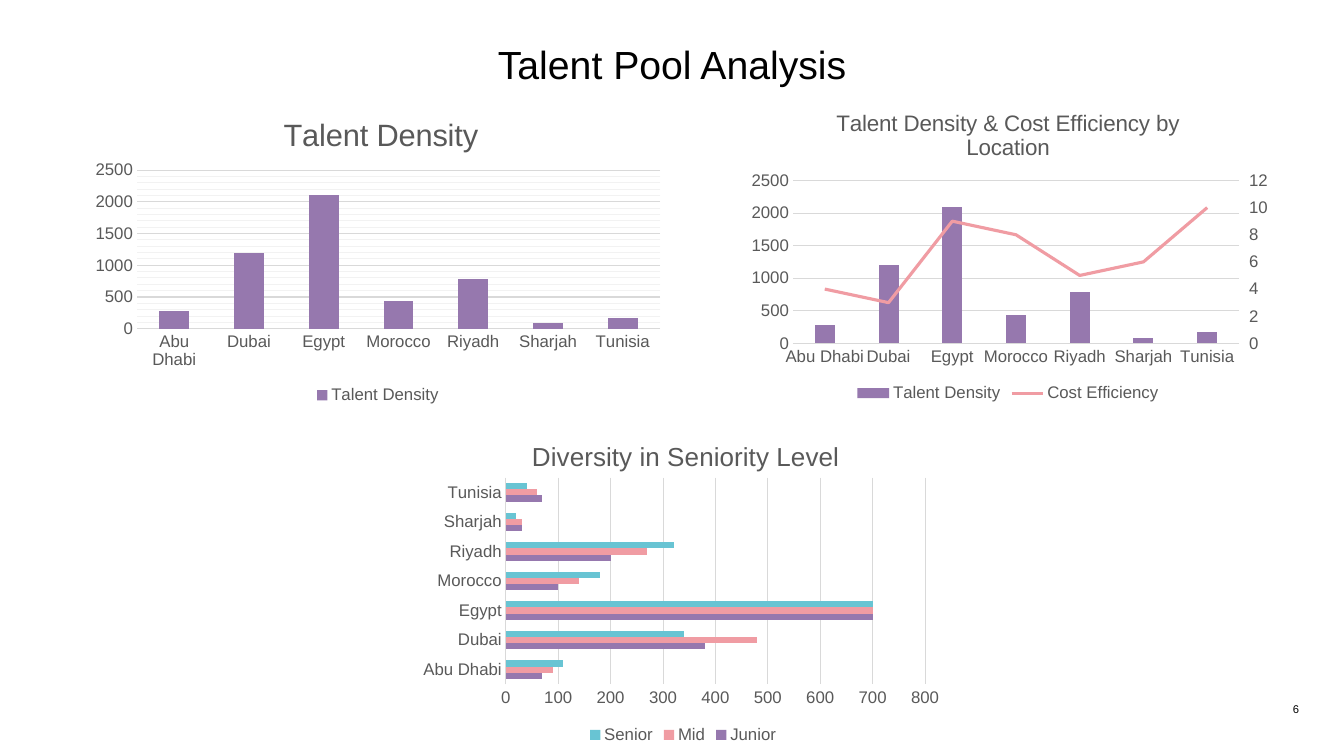
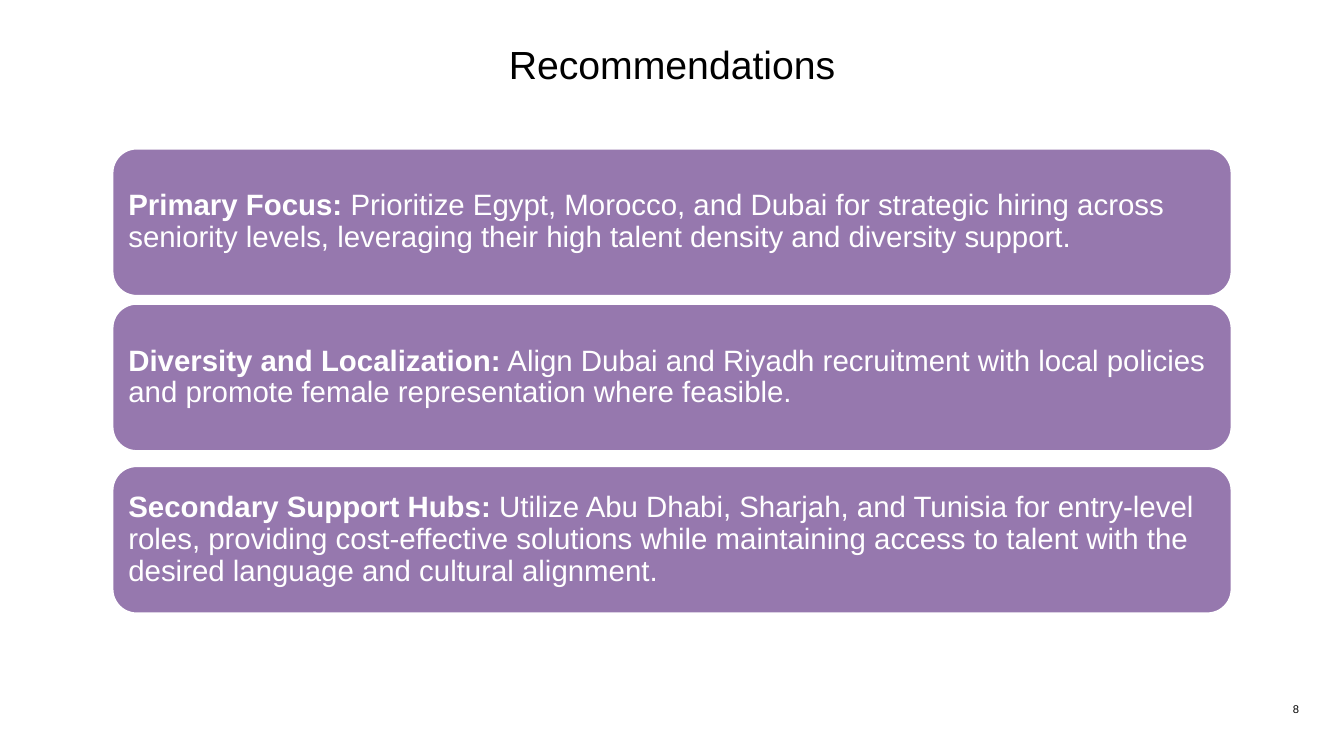
import collections

import pptx
import pptx.chart.axis
import pptx.chart.data
import pptx.dml.color
import pptx.enum.chart
import pptx.enum.shapes
import pptx.enum.text
import pptx.oxml
import pptx.oxml.ns
import pptx.util

BLACK = pptx.dml.color.RGBColor(0x00, 0x00, 0x00)
WHITE = pptx.dml.color.RGBColor(0xFF, 0xFF, 0xFF)
GRAY = pptx.dml.color.RGBColor(0x59, 0x59, 0x59)
GRID = pptx.dml.color.RGBColor(0xD9, 0xD9, 0xD9)
FAINT_GRID = pptx.dml.color.RGBColor(0xF2, 0xF2, 0xF2)
PURPLE = pptx.dml.color.RGBColor(0x96, 0x78, 0xAE)
PINK = pptx.dml.color.RGBColor(0xF0, 0x9C, 0xA3)
TEAL = pptx.dml.color.RGBColor(0x68, 0xC4, 0xD3)

FONT = "Arial"
WIDTH = pptx.util.Inches(13.33)
HEIGHT = pptx.util.Inches(7.5)
COLUMN = WIDTH / 120
ROW = HEIGHT / 75

Box = collections.namedtuple("Box", "left top width height")
Series = collections.namedtuple("Series", "name values color")

TITLE_BOX = Box(4, 4, 112, 4.7)
NUMBER_BOX = Box(109, 69.4, 7, 1.6)
CARDS_BOX = Box(10, 14.7, 100, 46.2)
CARD_HEIGHT = 14.7

LOCATIONS = ("Abu Dhabi", "Dubai", "Egypt", "Morocco", "Riyadh", "Sharjah", "Tunisia")
DENSITY = Series("Talent Density", (280, 1200, 2100, 430, 790, 90, 170), PURPLE)
COST = Series("Cost Efficiency", (4, 3, 9, 8, 5, 6, 10), PINK)
SENIORITY = (
    Series("Junior", (70, 380, 700, 100, 200, 30, 70), PURPLE),
    Series("Mid", (90, 480, 700, 140, 270, 30, 60), PINK),
    Series("Senior", (110, 340, 700, 180, 320, 20, 40), TEAL),
)

RECOMMENDATIONS = (
    (0, "Primary Focus:",
     " Prioritize Egypt, Morocco, and Dubai for strategic hiring across seniority levels, "
     "leveraging their high talent density and diversity support."),
    (15.4, "Diversity and Localization:",
     " Align Dubai and Riyadh recruitment with local policies and promote female "
     "representation where feasible."),
    (31.5, "Secondary Support Hubs:",
     " Utilize Abu Dhabi, Sharjah, and Tunisia for entry-level roles, providing "
     "cost-effective solutions while maintaining access to talent with the desired "
     "language and cultural alignment."),
)

LINE_PLOT = """
<c:lineChart %s>
  <c:grouping val="standard"/><c:varyColors val="0"/>
  <c:marker val="1"/><c:axId val="501"/><c:axId val="502"/>
</c:lineChart>"""
HIDDEN_CATEGORY_AXIS = """
<c:catAx %s>
  <c:axId val="501"/><c:scaling><c:orientation val="minMax"/></c:scaling>
  <c:delete val="1"/><c:axPos val="b"/><c:crossAx val="502"/><c:crosses val="autoZero"/>
</c:catAx>"""
RIGHT_AXIS = """
<c:valAx %s>
  <c:axId val="502"/><c:scaling><c:orientation val="minMax"/></c:scaling>
  <c:delete val="0"/><c:axPos val="r"/><c:numFmt formatCode="General" sourceLinked="0"/>
  <c:majorTickMark val="out"/><c:minorTickMark val="none"/><c:tickLblPos val="nextTo"/>
  <c:crossAx val="501"/><c:crosses val="max"/>
</c:valAx>"""
FAINT_LINE = f"""
<c:spPr %s><a:ln w="9525"><a:solidFill>
  <a:srgbClr val="{FAINT_GRID}"/>
</a:solidFill></a:ln></c:spPr>"""


def place(box):
    return (round(box.left * COLUMN), round(box.top * ROW),
            round(box.width * COLUMN), round(box.height * ROW))


def chart_element(markup):
    return pptx.oxml.parse_xml(markup % pptx.oxml.ns.nsdecls("c", "a"))


def style_font(font, size, color, bold=False):
    font.name = FONT
    font.size = pptx.util.Pt(size)
    font.color.rgb = color
    font.bold = bold


def write(para, text, size=12, color=BLACK, bold=False, align=None):
    span = para.add_run()
    span.text = text
    style_font(span.font, size, color, bold)
    if align is not None:
        para.alignment = align


def set_frame(frame, anchor, margin=0):
    frame.word_wrap = True
    frame.auto_size = pptx.enum.text.MSO_AUTO_SIZE.NONE
    frame.vertical_anchor = anchor
    frame.margin_left = frame.margin_right = pptx.util.Inches(margin)
    frame.margin_top = frame.margin_bottom = pptx.util.Inches(margin)


def prepare_layout(deck):
    layout = deck.slide_layouts.get_by_name("Title Only")
    title = next(shape for shape in layout.placeholders
                 if shape.placeholder_format.idx == 0)
    title.left, title.top, title.width, title.height = place(TITLE_BOX)
    set_frame(title.text_frame, pptx.enum.text.MSO_ANCHOR.BOTTOM)
    return layout


def add_page(deck, layout, title, number):
    page = deck.slides.add_slide(layout)
    write(page.shapes.title.text_frame.paragraphs[0], title, size=28,
          align=pptx.enum.text.PP_ALIGN.CENTER)
    frame = page.shapes.add_textbox(*place(NUMBER_BOX)).text_frame
    set_frame(frame, pptx.enum.text.MSO_ANCHOR.BOTTOM)
    write(frame.paragraphs[0], number, size=8, align=pptx.enum.text.PP_ALIGN.RIGHT)
    return page


def set_layout(parent, shares, inner=False):
    tags = ['<c:layoutTarget val="inner"/>'] if inner else []
    tags += ['<c:xMode val="edge"/>', '<c:yMode val="edge"/>']
    tags += [f'<c:{name} val="{share}"/>' for name, share in zip("xywh", shares)]
    layout = chart_element(
        "<c:layout %s><c:manualLayout>" + "".join(tags) + "</c:manualLayout></c:layout>")
    for old in parent.xpath("./c:layout"):
        parent.replace(old, layout)
        return
    parent.insert(0, layout)


def style_line(line, color, width=0.75):
    line.color.rgb = color
    line.width = pptx.util.Pt(width)


def style_axis(axis, line_color=None, tick=pptx.enum.chart.XL_TICK_MARK.NONE):
    axis.major_tick_mark = tick
    axis.minor_tick_mark = pptx.enum.chart.XL_TICK_MARK.NONE
    style_font(axis.tick_labels.font, 12, GRAY)
    if line_color is None:
        axis.format.line.fill.background()
    else:
        style_line(axis.format.line, line_color)


def add_bars(page, box, kind, title, series, gap, plot_shares, title_size,
             title_shares=None, overlap=0, axis_color=GRID):
    data = pptx.chart.data.CategoryChartData()
    data.categories = LOCATIONS
    for item in series:
        data.add_series(item.name, item.values)
    chart = page.shapes.add_chart(kind, *place(box), data).chart
    style_font(chart.font, 10, BLACK)

    chart.has_title = True
    write(chart.chart_title.text_frame.paragraphs[0], title, size=title_size, color=GRAY)
    if title_shares:
        set_layout(chart.chart_title._element, title_shares)
    set_layout(chart._chartSpace.xpath("c:chart/c:plotArea")[0], plot_shares, inner=True)

    chart.has_legend = True
    chart.legend.position = pptx.enum.chart.XL_LEGEND_POSITION.BOTTOM
    chart.legend.include_in_layout = False
    style_font(chart.legend.font, 12, GRAY)

    style_axis(chart.category_axis, axis_color)
    for body in chart._chartSpace.xpath("//c:catAx/c:txPr/a:bodyPr"):
        body.set("rot", "-60000000")
    style_axis(chart.value_axis)
    chart.value_axis.has_major_gridlines = True
    style_line(chart.value_axis.major_gridlines.format.line, GRID)

    plot = chart.plots[0]
    plot.vary_by_categories = False
    plot.gap_width = gap
    plot.overlap = overlap
    for bars, item in zip(plot.series, series):
        bars.invert_if_negative = False
        bars.format.fill.solid()
        bars.format.fill.fore_color.rgb = item.color
    return chart


def move_to_right_axis(chart, item):
    bar_plot = chart._chartSpace.xpath("//c:barChart")[0]
    moved = bar_plot.xpath("./c:ser")[-1]
    for flag in moved.xpath("./c:invertIfNegative | ./c:spPr"):
        moved.remove(flag)
    line_plot = chart_element(LINE_PLOT)
    line_plot.insert(2, moved)
    bar_plot.addnext(line_plot)

    right_axis = chart_element(RIGHT_AXIS)
    chart._chartSpace.xpath("//c:valAx")[0].addnext(right_axis)
    right_axis.addnext(chart_element(HIDDEN_CATEGORY_AXIS))
    style_axis(pptx.chart.axis.ValueAxis(right_axis),
               tick=pptx.enum.chart.XL_TICK_MARK.OUTSIDE)

    line = chart.plots[1].series[0]
    line.smooth = False
    line.marker.style = pptx.enum.chart.XL_MARKER_STYLE.NONE
    style_line(line.format.line, item.color, 2.25)


def add_density_chart(page, box):
    chart = add_bars(page, box, pptx.enum.chart.XL_CHART_TYPE.COLUMN_STACKED,
                     "Talent Density", (DENSITY,), gap=150, overlap=100,
                     plot_shares=(0.09, 0.25, 0.89, 0.5), title_size=22,
                     title_shares=(0.33, 0.06), axis_color=None)
    chart.value_axis.has_minor_gridlines = True
    chart.value_axis.major_unit = 500
    chart.value_axis.minor_unit = 100
    chart._chartSpace.xpath("//c:minorGridlines")[0].append(chart_element(FAINT_LINE))


def add_efficiency_chart(page, box):
    chart = add_bars(page, box, pptx.enum.chart.XL_CHART_TYPE.COLUMN_CLUSTERED,
                     "Talent Density & Cost Efficiency by Location", (DENSITY, COST),
                     gap=219, plot_shares=(0.1, 0.28, 0.83, 0.52), title_size=16)
    move_to_right_axis(chart, COST)


def add_seniority_chart(page, box):
    add_bars(page, box, pptx.enum.chart.XL_CHART_TYPE.BAR_CLUSTERED,
             "Diversity in Seniority Level", SENIORITY, gap=182,
             plot_shares=(0.17, 0.19, 0.78, 0.62), title_size=18.6,
             title_shares=(0.21, 0.06))


def add_recommendations(page, box):
    for offset, lead, detail in RECOMMENDATIONS:
        card = page.shapes.add_shape(
            pptx.enum.shapes.MSO_SHAPE.ROUNDED_RECTANGLE,
            *place(Box(box.left, box.top + offset, box.width, CARD_HEIGHT)))
        card.shadow.inherit = False
        card.fill.solid()
        card.fill.fore_color.rgb = PURPLE
        style_line(card.line, WHITE, 2)
        set_frame(card.text_frame, pptx.enum.text.MSO_ANCHOR.MIDDLE, margin=0.09)
        para = card.text_frame.paragraphs[0]
        para.line_spacing = 0.9
        write(para, lead, size=21, color=WHITE, bold=True,
              align=pptx.enum.text.PP_ALIGN.LEFT)
        write(para, detail, size=21, color=WHITE)


def main():
    deck = pptx.Presentation()
    deck.slide_width, deck.slide_height = WIDTH, HEIGHT
    layout = prepare_layout(deck)

    analysis = add_page(deck, layout, "Talent Pool Analysis", "6")
    add_density_chart(analysis, Box(7.5, 9, 52.5, 31.5))
    add_efficiency_chart(analysis, Box(66, 9.2, 48, 31.1))
    add_seniority_chart(analysis, Box(37, 41.1, 48, 33.1))

    advice = add_page(deck, layout, "Recommendations", "8")
    add_recommendations(advice, CARDS_BOX)

    deck.save("out.pptx")


if __name__ == "__main__":
    main()
